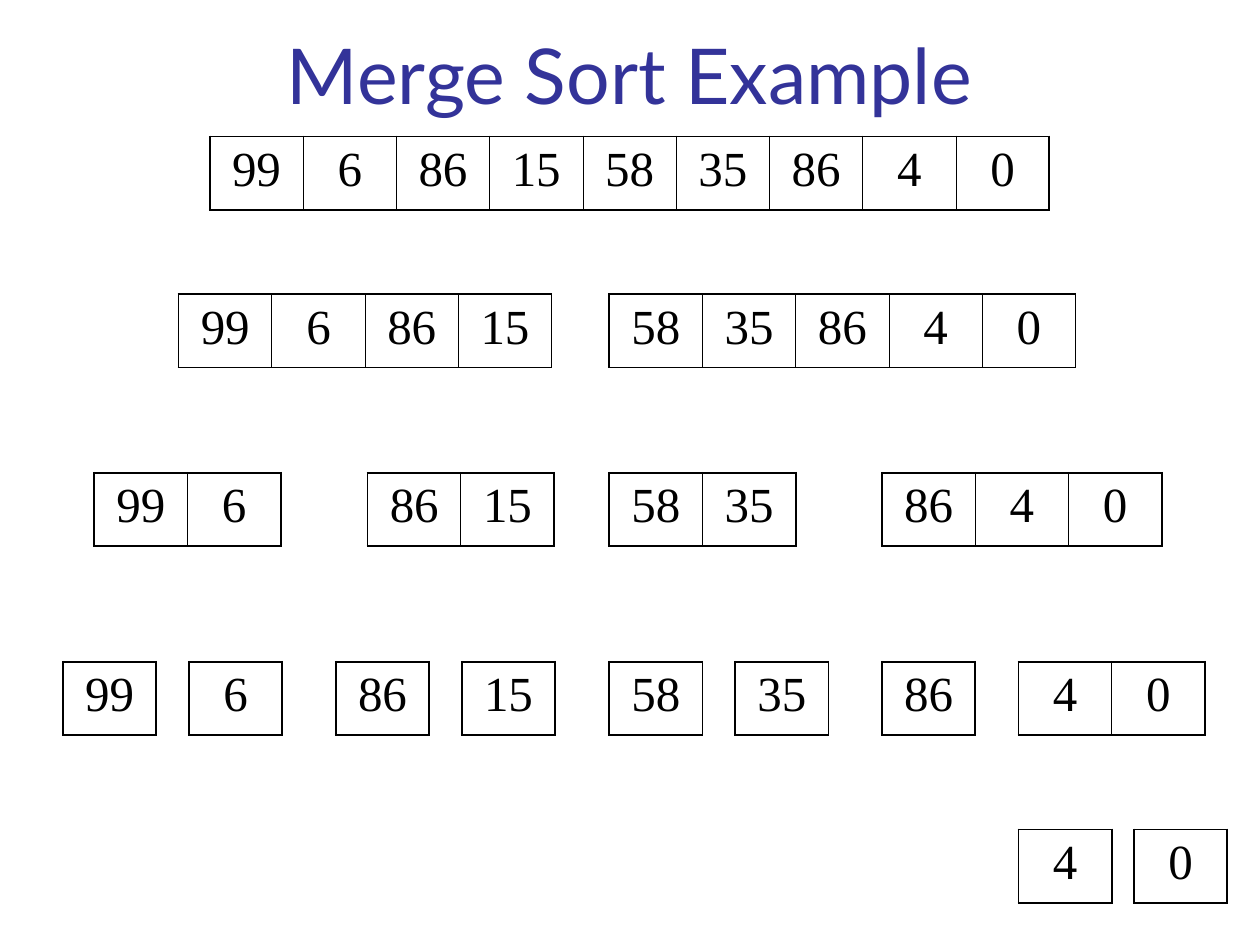
from lxml.etree import SubElement
from pptx import Presentation
from pptx.dml.color import RGBColor
from pptx.enum.text import MSO_ANCHOR, PP_ALIGN
from pptx.oxml.ns import qn
from pptx.util import Cm, Pt

CELL_WIDTH, CELL_HEIGHT = 1.88, 1.48
OUTER_LINE, INNER_LINE = Pt(1.08), Pt(0.45)

NUMBERS = [99, 6, 86, 15, 58, 35, 86, 4, 0]

# Each level: top, then (left, start, end) for every part of the list
LEVELS = [
    (2.75, [(4.23, 0, 9)]),
    (5.93, [(3.6, 0, 4), (12.28, 4, 9)]),
    (9.53, [(1.9, 0, 2), (7.41, 2, 4), (12.28, 4, 6), (17.78, 6, 9)]),
    (13.34, [(1.27, 0, 1), (3.81, 1, 2), (6.77, 2, 3), (9.31, 3, 4),
             (12.28, 4, 5), (14.82, 5, 6), (17.78, 6, 7), (20.53, 7, 9)]),
    (16.72, [(20.53, 7, 8), (22.86, 8, 9)]),
]


def color(hex_string):
    return RGBColor.from_string(hex_string)


class SlideBuilder:
    title_font = "Lato"
    number_font = "Times New Roman"
    title_color = "333399"
    ink = "000000"

    def __init__(self, slide):
        self.slide = slide

    def centered_run(self, paragraph, text, font_name, size, hex_string):
        paragraph.alignment = PP_ALIGN.CENTER
        run = paragraph.add_run()
        run.text = text
        run.font.name = font_name
        run.font.size = Pt(size)
        run.font.color.rgb = color(hex_string)

    def title(self, text, left, top, width, height):
        shape = self.slide.shapes.add_textbox(Cm(left), Cm(top), Cm(width), Cm(height))
        frame = shape.text_frame
        frame.word_wrap = True
        frame.vertical_anchor = MSO_ANCHOR.BOTTOM
        self.centered_run(frame.paragraphs[0], text, self.title_font, 44, self.title_color)

    def border(self, cell, side, width):
        properties = cell._tc.get_or_add_tcPr()
        line = SubElement(properties, qn(f"a:ln{side}"), w=str(width))
        fill = SubElement(line, qn("a:solidFill"))
        SubElement(fill, qn("a:srgbClr"), val=self.ink)

    def number_list(self, numbers, left, top):
        count = len(numbers)
        shape = self.slide.shapes.add_table(
            1, count, Cm(left), Cm(top), Cm(CELL_WIDTH * count), Cm(CELL_HEIGHT))
        table = shape.table
        table.first_row = table.horz_banding = False
        for index, number in enumerate(numbers):
            table.columns[index].width = Cm(CELL_WIDTH)
            cell = table.cell(0, index)
            self.centered_run(cell.text_frame.paragraphs[0], str(number),
                              self.number_font, 28, self.ink)
            # Thick outline, thin lines between numbers
            self.border(cell, "L", OUTER_LINE if index == 0 else INNER_LINE)
            self.border(cell, "R", OUTER_LINE if index == count - 1 else INNER_LINE)
            self.border(cell, "T", OUTER_LINE)
            self.border(cell, "B", OUTER_LINE)
            cell.fill.background()


def main():
    presentation = Presentation()
    presentation.slide_width = Cm(25.4)
    presentation.slide_height = Cm(19.05)
    builder = SlideBuilder(presentation.slides.add_slide(presentation.slide_layouts[6]))

    # Title
    builder.title("Merge Sort Example", 1.9, 0, 21.59, 2.54)

    # Splitting the list level by level
    for top, parts in LEVELS:
        for left, start, end in parts:
            builder.number_list(NUMBERS[start:end], left, top)

    presentation.save("out.pptx")


if __name__ == "__main__":
    main()
